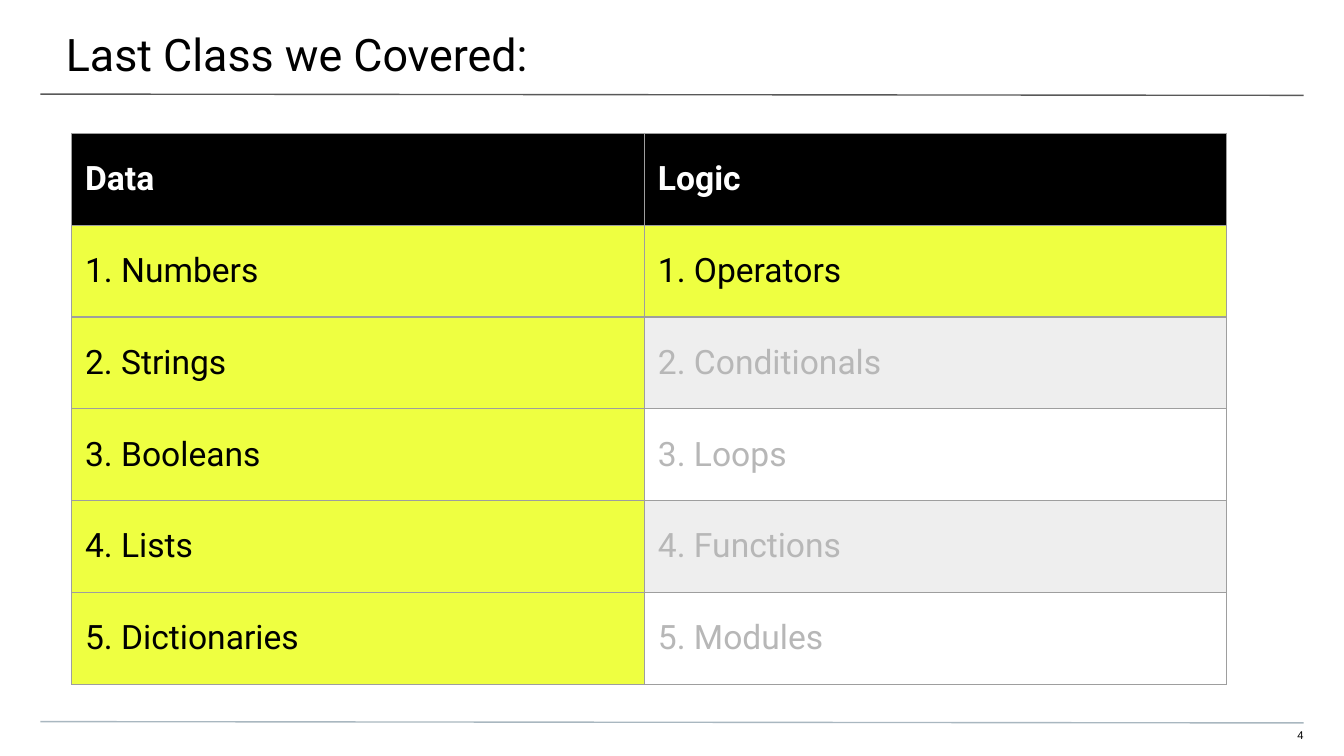
"""Build a slide that recaps the data and logic topics covered last class."""
from dataclasses import dataclass

import lxml.etree
import pptx
import pptx.dml.color
import pptx.enum.shapes
import pptx.enum.text
import pptx.oxml.ns
import pptx.util

Pt = pptx.util.Pt
ANCHOR = pptx.enum.text.MSO_ANCHOR
ALIGN = pptx.enum.text.PP_ALIGN


@dataclass(frozen=True)
class Theme:
    font: str = "Roboto"
    number_font: str = "Arial"
    title_size: int = 24
    table_size: int = 18
    number_size: int = 6
    black: str = "000000"
    white: str = "FFFFFF"
    covered: str = "EEFF41"
    band: str = "EEEEEE"
    muted: str = "B7B7B7"
    border: str = "9E9E9E"
    title_rule: str = "595959"
    footer_rule: str = "A9B7C0"
    line_width: float = 0.75


THEME = Theme()
HEADERS = ("Data", "Logic")
TOPICS = (
    ("Numbers", "Operators"),
    ("Strings", "Conditionals"),
    ("Booleans", "Loops"),
    ("Lists", "Functions"),
    ("Dictionaries", "Modules"),
)
COVERED_COUNTS = (5, 1)
COLUMN_WIDTHS = (306.9, 311.6)
ROW_HEIGHT = 49.2


def rgb(color):
    return pptx.dml.color.RGBColor.from_string(color)


def set_font(paragraph, name, size, color, bold=False):
    font = paragraph.font
    font.name, font.size, font.bold = name, Pt(size), bold
    font.color.rgb = rgb(color)


def set_frame(frame, left, top, right, bottom, anchor):
    frame.margin_left, frame.margin_top = Pt(left), Pt(top)
    frame.margin_right, frame.margin_bottom = Pt(right), Pt(bottom)
    frame.vertical_anchor = anchor
    frame.word_wrap = True
    frame.auto_size = pptx.enum.text.MSO_AUTO_SIZE.NONE


def add_title(slide, text):
    title = slide.shapes.title
    title.left, title.top = Pt(-0.7), Pt(0)
    title.width, title.height = Pt(722), Pt(42)
    title.text = text
    set_frame(title.text_frame, 36, 14.4, 21.6, 7.2, ANCHOR.TOP)
    paragraph = title.text_frame.paragraphs[0]
    paragraph.alignment = ALIGN.LEFT
    set_font(paragraph, THEME.font, THEME.title_size, THEME.black)


def add_rule(slide, top, color):
    rule = slide.shapes.add_connector(
        pptx.enum.shapes.MSO_CONNECTOR.STRAIGHT,
        Pt(21.6), Pt(top), Pt(698.4), Pt(top + 0.7))
    rule.line.color.rgb = rgb(color)
    rule.line.width = Pt(THEME.line_width)
    lxml.etree.SubElement(rule._element.spPr, pptx.oxml.ns.qn("a:effectLst"))


def add_page_number(slide, text):
    box = slide.shapes.add_textbox(Pt(677.5), Pt(390.2), Pt(20.9), Pt(8.6))
    set_frame(box.text_frame, 0, 0, 0, 7.2, ANCHOR.TOP)
    paragraph = box.text_frame.paragraphs[0]
    paragraph.text = text
    paragraph.alignment = ALIGN.RIGHT
    set_font(paragraph, THEME.number_font, THEME.number_size, THEME.black)


def add_borders(cell):
    qualified = pptx.oxml.ns.qn
    properties = cell._tc.get_or_add_tcPr()
    for side in ("L", "R", "T", "B"):
        line = lxml.etree.SubElement(
            properties, qualified(f"a:ln{side}"), w=str(Pt(THEME.line_width)))
        fill = lxml.etree.SubElement(line, qualified("a:solidFill"))
        lxml.etree.SubElement(fill, qualified("a:srgbClr"), val=THEME.border)


def fill_cell(cell, text, color, fill, bold=False):
    cell.text = text
    cell.margin_left = cell.margin_right = Pt(7.2)
    cell.margin_top = cell.margin_bottom = Pt(0)
    cell.vertical_anchor = ANCHOR.MIDDLE
    set_font(cell.text_frame.paragraphs[0], THEME.font, THEME.table_size, color, bold)
    add_borders(cell)
    if fill:
        cell.fill.solid()
        cell.fill.fore_color.rgb = rgb(fill)
    else:
        cell.fill.background()


def topic_colors(row, column):
    """Return the text and fill colours of a topic cell."""
    if row <= COVERED_COUNTS[column]:
        return THEME.black, THEME.covered
    return THEME.muted, THEME.band if row % 2 == 0 else None


def add_topic_table(slide):
    row_count = len(TOPICS) + 1
    table = slide.shapes.add_table(
        row_count, len(HEADERS), Pt(38.4), Pt(71.5),
        Pt(sum(COLUMN_WIDTHS)), Pt(ROW_HEIGHT * row_count)).table
    for row in table.rows:
        row.height = Pt(ROW_HEIGHT)
    for column, width in enumerate(COLUMN_WIDTHS):
        table.columns[column].width = Pt(width)
        fill_cell(table.cell(0, column), HEADERS[column], THEME.white, THEME.black, True)
        for row, topics in enumerate(TOPICS, 1):
            color, fill = topic_colors(row, column)
            fill_cell(table.cell(row, column), f"{row}. {topics[column]}", color, fill)


def main():
    presentation = pptx.Presentation()
    presentation.slide_width, presentation.slide_height = Pt(720), Pt(405)
    slide = presentation.slides.add_slide(presentation.slide_layouts[5])
    add_rule(slide, 50.4, THEME.title_rule)
    add_rule(slide, 386.6, THEME.footer_rule)
    add_title(slide, "Last Class we Covered:")
    add_page_number(slide, "4")
    add_topic_table(slide)
    presentation.save("out.pptx")


if __name__ == "__main__":
    main()
